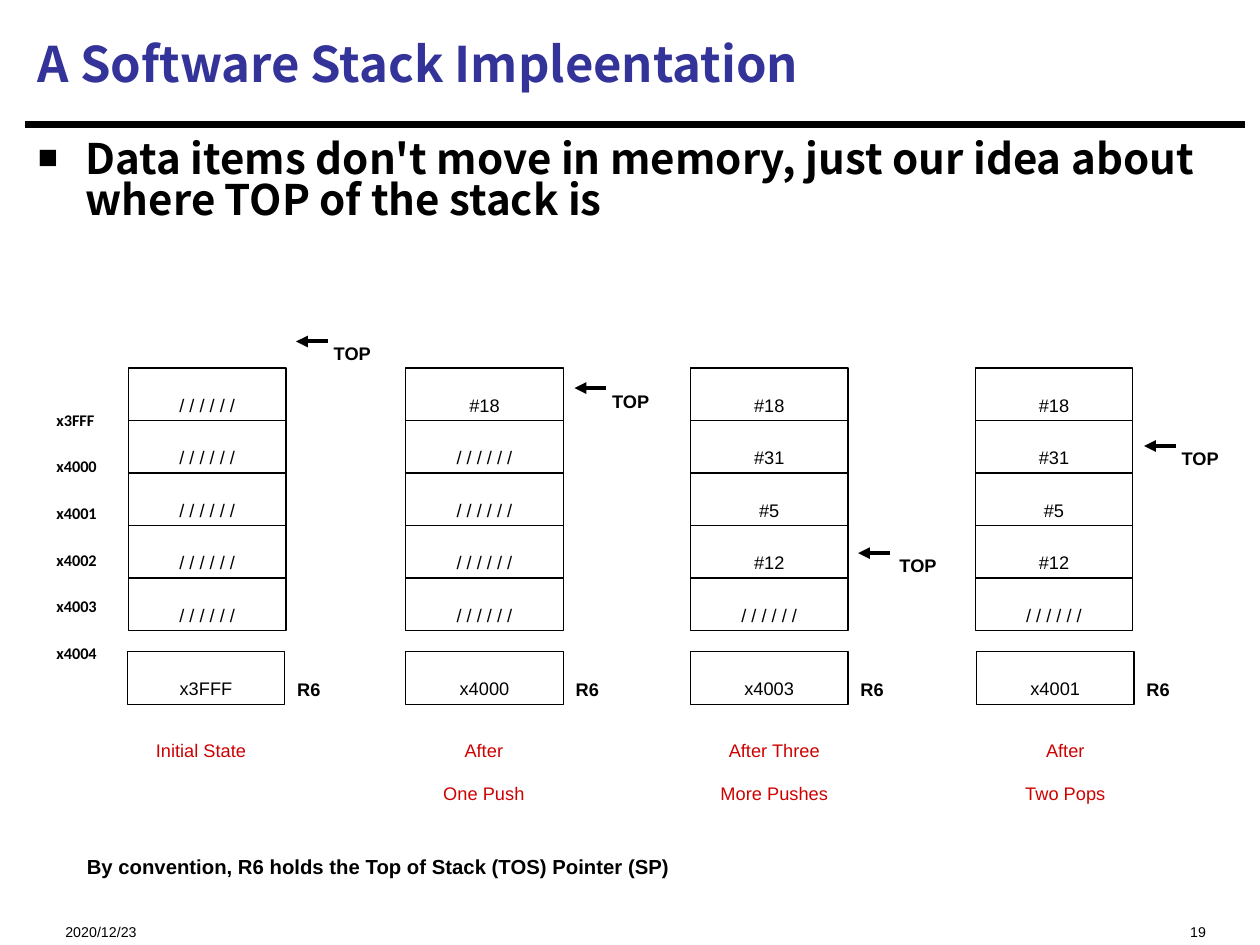
from lxml import etree
from pptx import Presentation
from pptx.dml.color import RGBColor
from pptx.enum.shapes import MSO_CONNECTOR, MSO_SHAPE
from pptx.enum.text import MSO_ANCHOR, MSO_AUTO_SIZE, PP_ALIGN
from pptx.oxml.ns import qn
from pptx.util import Inches, Pt

LEFT, MID, RIGHT = PP_ALIGN.LEFT, PP_ALIGN.CENTER, PP_ALIGN.RIGHT
TOP, CENTER = MSO_ANCHOR.TOP, MSO_ANCHOR.MIDDLE
NO_FIT = MSO_AUTO_SIZE.NONE
RECT, LINE = MSO_SHAPE.RECTANGLE, MSO_CONNECTOR.STRAIGHT

COLORS = {"ink": "000000", "title": "333399", "state": "CE0000"}
FREE = "/ / / / / /"
CELL_W, CELL_H = 1.25, 0.42
STACK_Y, ROW_STEP = 2.92, 1.25 / 3
REG_Y, STATE_Y = 5.17, 5.65

# left, cells, arrow tail, TOP label, R6 box left, R6 value, state box, state
STACKS = [
    (1.02, [FREE] * 5, (2.6, 2.71), (2.55, 2.5), 1.01, "x3FFF",
     (0.87, 1.45), ["Initial State"]),
    (3.22, ["#18"] + [FREE] * 4, (4.81, 3.08), (4.76, 2.88), 3.22, "x4000",
     (3.18, 1.32), ["After", "One Push"]),
    (5.48, ["#18", "#31", "#5", "#12", FREE], (7.06, 4.39), (7.04, 4.18),
     5.48, "x4003", (5.3, 1.69), ["After Three", "More Pushes"]),
    (7.74, ["#18", "#31", "#5", "#12", FREE], (9.33, 3.54), (9.28, 3.33),
     7.75, "x4001", (7.8, 1.31), ["After", "Two Pops"]),
]


class Deck:
    font = "Arial"
    head_font = "Noto Sans CJK SC"

    def __init__(self, slide):
        self.slide = slide

    def add_text(self, frame, lines, size, color="ink", bold=False, font=None,
                 align=LEFT, anchor=TOP, space=None, low=True):
        """Fill a frame, one paragraph a line; low sets text as subscript."""
        frame.word_wrap = True
        frame.auto_size = NO_FIT
        frame.vertical_anchor = anchor
        for i, line in enumerate(lines):
            para = frame.add_paragraph() if i else frame.paragraphs[0]
            para.alignment = align
            para.space_before = Pt(0)
            if space:
                para.line_spacing = space
            run = para.add_run()
            run.text = line
            run.font.size = Pt(size)
            run.font.bold = bold
            run.font.name = font or self.font
            run.font.color.rgb = RGBColor.from_string(COLORS[color])
            if low:
                run.font._element.set("baseline", "-25000")

    def place(self, shape, x, y, w, h):
        shape.left, shape.top = Inches(x), Inches(y)
        shape.width, shape.height = Inches(w), Inches(h)

    def title(self, text):
        shape = self.slide.shapes.title
        self.place(shape, 0.2, 0.08, 9.67, 0.84)
        self.add_text(shape.text_frame, [text], 28, "title", True,
                      self.head_font, anchor=CENTER, low=False)

    def body(self, text):
        shape = self.slide.placeholders[1]
        self.place(shape, 0.2, 1.07, 9.67, 0.94)
        frame = shape.text_frame
        props = frame.paragraphs[0]._p.get_or_add_pPr()
        props.set("marL", str(Inches(0.38)))
        props.set("indent", str(Inches(-0.38)))
        etree.SubElement(props, qn("a:buSzPct")).set("val", "80000")
        etree.SubElement(props, qn("a:buFont")).set("typeface", self.font)
        etree.SubElement(props, qn("a:buChar")).set("char", "■")
        self.add_text(frame, [text], 24, bold=True, font=self.head_font,
                      space=0.82, low=False)

    def label(self, x, y, w, h, lines, size=18, **style):
        box = self.slide.shapes.add_textbox(
            Inches(x), Inches(y), Inches(w), Inches(h))
        self.add_text(box.text_frame, lines, size, **style)

    def cell(self, x, y, text):
        box = self.slide.shapes.add_shape(
            RECT, Inches(x), Inches(y), Inches(CELL_W), Inches(CELL_H))
        box.shadow.inherit = False
        box.fill.background()
        box.line.color.rgb = RGBColor.from_string(COLORS["ink"])
        box.line.width = Pt(0.75)
        self.add_text(box.text_frame, [text], 18, align=MID, anchor=CENTER)

    def line(self, x, y, end, width, arrow=False):
        rule = self.slide.shapes.add_connector(
            LINE, Inches(x), Inches(y), Inches(end), Inches(y))
        rule.line.color.rgb = RGBColor.from_string(COLORS["ink"])
        rule.line.width = Pt(width)
        if arrow:
            stroke = rule.line._get_or_add_ln()
            etree.SubElement(stroke, qn("a:tailEnd")).set("type", "triangle")
        etree.SubElement(rule._element.spPr, qn("a:effectLst"))

    def stack(self, x, cells, tail, top, reg_x, value, span, state):
        for row, text in enumerate(cells):
            self.cell(x, STACK_Y + row * ROW_STEP, text)
        self.label(*top, 0.72, 0.4, ["TOP"], bold=True)
        self.line(*tail, tail[0] - 0.25, 2.25, arrow=True)
        self.cell(reg_x, REG_Y, value)
        self.label(reg_x + CELL_W, REG_Y, 0.52, 0.4, ["R6"], bold=True)
        left, width = span
        self.label(left, STATE_Y, width, 0.4 + 0.31 * (len(state) - 1),
                   state, color="state", align=MID)


def main():
    prs = Presentation()
    prs.slide_width, prs.slide_height = Inches(10), Inches(7.5)
    deck = Deck(prs.slides.add_slide(prs.slide_layouts[1]))
    deck.line(0.2, 0.99, 9.88, 3.75)
    deck.title("A Software Stack Impleentation")
    deck.body("Data items don't move in memory, just our idea about "
              "where TOP of the stack is")
    deck.label(0.42, 7.15, 2.5, 0.27, ["2020/12/23"], 14)
    deck.label(6.67, 7.15, 3, 0.27, ["19"], 14, align=RIGHT)
    deck.label(0.59, 6.54, 8.98, 0.43,
               ["By convention, R6 holds the Top of Stack (TOS) Pointer (SP)"],
               20, bold=True)
    slots = ["x3FFF"] + [f"x400{n}" for n in range(5)]
    deck.label(0.35, 2.99, 0.76, 2.07, slots, 16, bold=True, font="Calibri",
               space=1.22)
    for stack in STACKS:
        deck.stack(*stack)
    prs.save("out.pptx")


if __name__ == "__main__":
    main()
